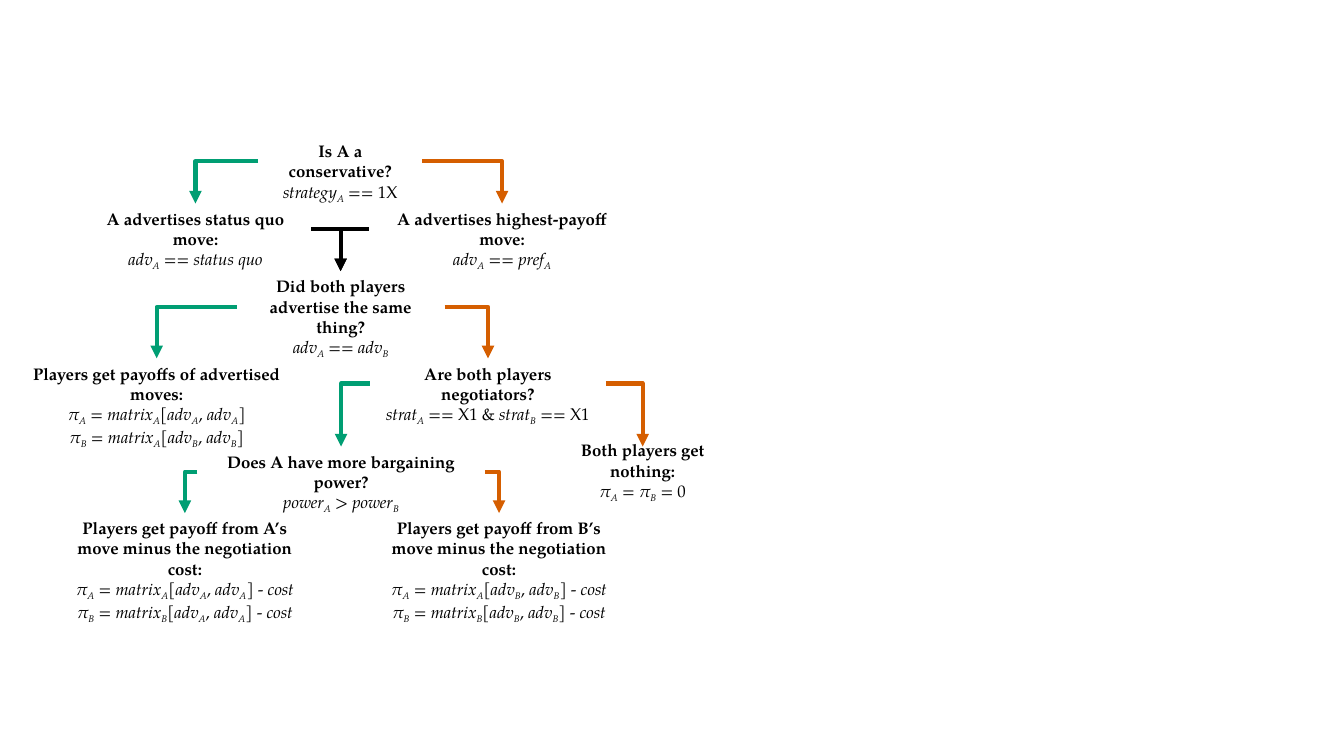
import pptx
import pptx.util
import pptx.dml.color
import pptx.enum.shapes
import pptx.enum.text
import pptx.oxml
import pptx.oxml.ns
from dataclasses import dataclass

WIDE = pptx.util.Inches(13.33)
HIGH = pptx.util.Inches(7.5)


@dataclass(frozen=True)
class Theme:
    face: str = "TeX Gyre Pagella"
    size: int = 12
    line: int = 3
    ink: str = "000000"
    yes: str = "009E73"
    no: str = "D55E00"


THEME = Theme()

# Tops of the six rows, in percent of the slide's height
ROWS = (18, 26.93, 35.87, 47.4, 59.07, 67.87)
LOW, MID, TALL = 6.67, 9.47, 12.13  # box heights, same unit


def share(who, grid, move, tail=""):
    """Payoff formula: italics between slashes, index after underscore."""
    return f"/π_{who}/ = /matrix_{grid}/[/adv_{move}/, /adv_{move}/]{tail}"


def split(move):
    """Both payoffs after a bargain that ends in one player's move."""
    return [share(who, who, move, "] - /cost".lstrip("]")) for who in "AB"]


# Name: row, centre and width in percent of the slide's width, height, heading, formulas
NODES = {
    "start": (0, 25.32, 12.23, LOW, "Is A a conservative?", ["/strategy_A/ == 1X"]),
    "keep": (1, 14.55, 17.25, LOW, "A advertises status quo move:",
             ["/adv_A/ == /status quo"]),
    "best": (1, 37.36, 19.8, LOW, "A advertises highest-payoff move:",
             ["/adv_A/ == /pref_A"]),
    "same": (2, 25.35, 15.45, MID, "Did both players advertise the same thing?",
             ["/adv_A/ == /adv_B"]),
    "agree": (3, 11.66, 23.18, MID, "Players get payoffs of advertised moves:",
              [share("A", "A", "A"), share("B", "A", "B")]),
    "deal": (3, 36.31, 17.55, LOW, "Are both players negotiators?",
             ["/strat_A/ == X1 & /strat_B/ == X1"]),
    "power": (4, 25.38, 21.38, LOW, "Does A have more bargaining power?",
              ["/power_A/ > /power_B"]),
    "none": (4, 47.82, 15.08, LOW, "Both players get nothing:", ["/π_A/ = /π_B/ = 0"]),
    "win A": (5, 13.76, 18.98, TALL,
              "Players get payoff from A’s move minus the negotiation cost:", split("A")),
    "win B": (5, 37.13, 19.35, TALL,
              "Players get payoff from B’s move minus the negotiation cost:", split("B")),
}

# From, side (1 left, 3 right), to, colour
LINKS = (
    ("start", 1, "keep", THEME.yes),
    ("start", 3, "best", THEME.no),
    ("best", 1, "same", THEME.ink),
    ("keep", 3, "same", THEME.ink),
    ("same", 3, "deal", THEME.no),
    ("same", 1, "agree", THEME.yes),
    ("deal", 1, "power", THEME.yes),
    ("deal", 3, "none", THEME.no),
    ("power", 3, "win B", THEME.no),
    ("power", 1, "win A", THEME.yes),
)


def tint(code):
    return pptx.dml.color.RGBColor.from_string(code)


def style(para, bold=False):
    para.alignment = pptx.enum.text.PP_ALIGN.CENTER
    font = para.font
    font.name, font.size, font.bold = THEME.face, pptx.util.Pt(THEME.size), bold
    font.color.rgb = tint(THEME.ink)


def add_math(para, text):
    """Write a formula as upright, italic and subscript runs."""
    style(para)
    for turn, part in enumerate(text.split("/")):
        name, _, sub = part.partition("_")
        for word, base in ((name, None), (sub, "-25000")):
            if word:
                run = para.add_run()
                run.text = word
                run.font.italic = turn % 2 == 1
                if base:
                    run.font._element.set("baseline", base)


def add_node(slide, row, mid, width, height, head, lines):
    box = slide.shapes.add_textbox(
        int(WIDE * (mid - width / 2) / 100), int(HIGH * ROWS[row] / 100),
        int(WIDE * width / 100), int(HIGH * height / 100))
    frame = box.text_frame
    frame.word_wrap = True
    frame.auto_size = pptx.enum.text.MSO_AUTO_SIZE.SHAPE_TO_FIT_TEXT
    frame.paragraphs[0].text = head
    style(frame.paragraphs[0], bold=True)
    for line in lines:
        add_math(frame.add_paragraph(), line)
    return box


def add_link(slide, start, side, end, color):
    """Elbow arrow from a box's side down to the top of another box."""
    link = slide.shapes.add_connector(
        pptx.enum.shapes.MSO_CONNECTOR.ELBOW, 0, 0, 0, 0)
    link.begin_connect(start, side)
    link.end_connect(end, 0)
    link.line.color.rgb = tint(color)
    link.line.width = pptx.util.Pt(THEME.line)
    props = link._element.spPr
    props.find(pptx.oxml.ns.qn("a:prstGeom")).set("prst", "bentConnector2")
    space = pptx.oxml.ns.nsdecls("a")
    link.line._get_or_add_ln().append(
        pptx.oxml.parse_xml(f'<a:tailEnd {space} type="triangle"/>'))
    props.append(pptx.oxml.parse_xml(f"<a:effectLst {space}/>"))


def main():
    deck = pptx.Presentation()
    deck.slide_width, deck.slide_height = WIDE, HIGH
    slide = deck.slides.add_slide(deck.slide_layouts[6])

    # Questions and outcomes
    boxes = {name: add_node(slide, *node) for name, node in NODES.items()}
    boxes["none"].text_frame.vertical_anchor = pptx.enum.text.MSO_ANCHOR.MIDDLE

    # Arrows
    for start, side, end, color in LINKS:
        add_link(slide, boxes[start], side, boxes[end], color)

    deck.save("out.pptx")


if __name__ == "__main__":
    main()
